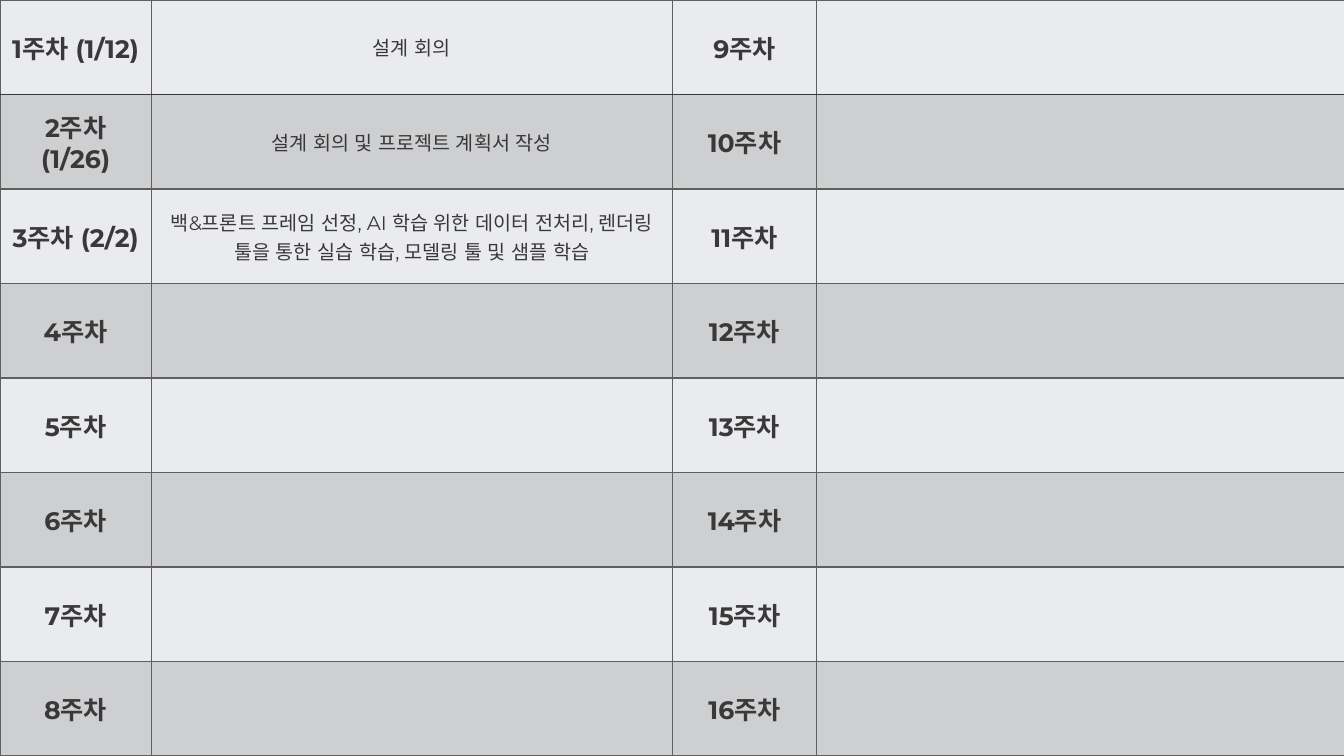
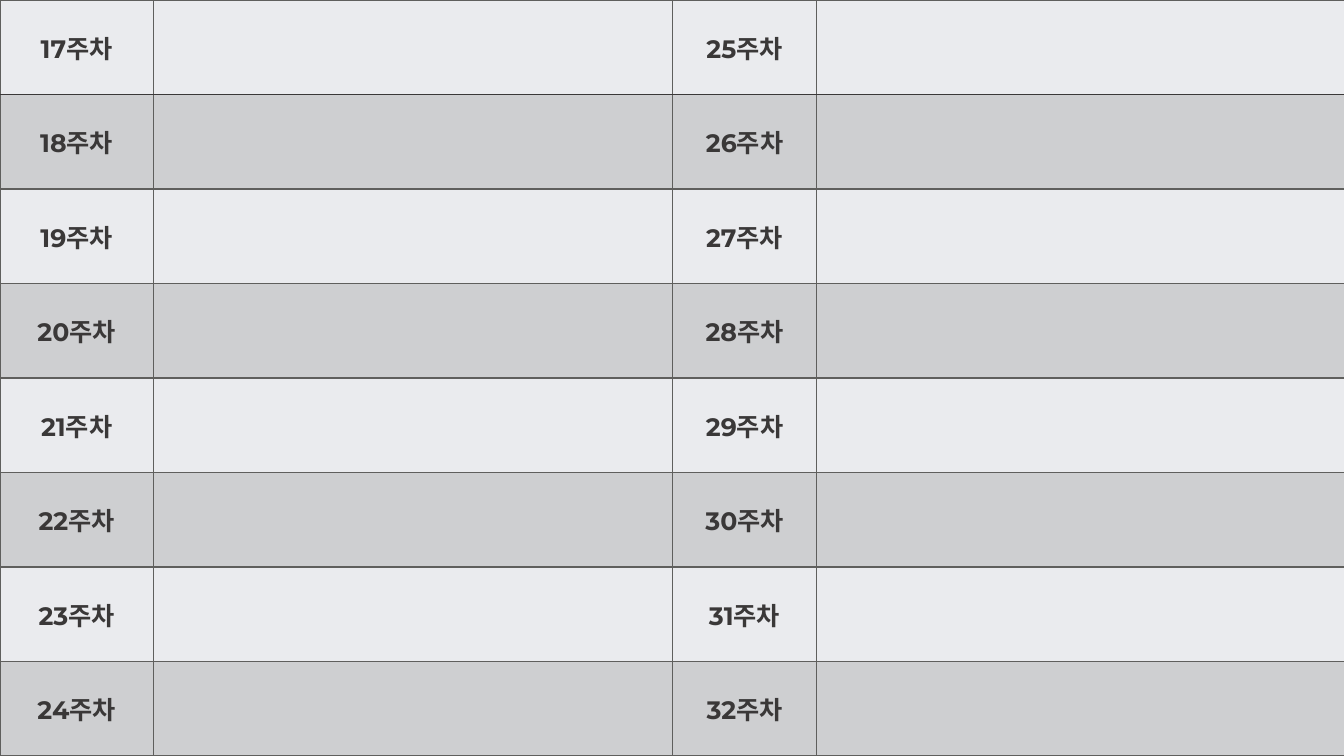
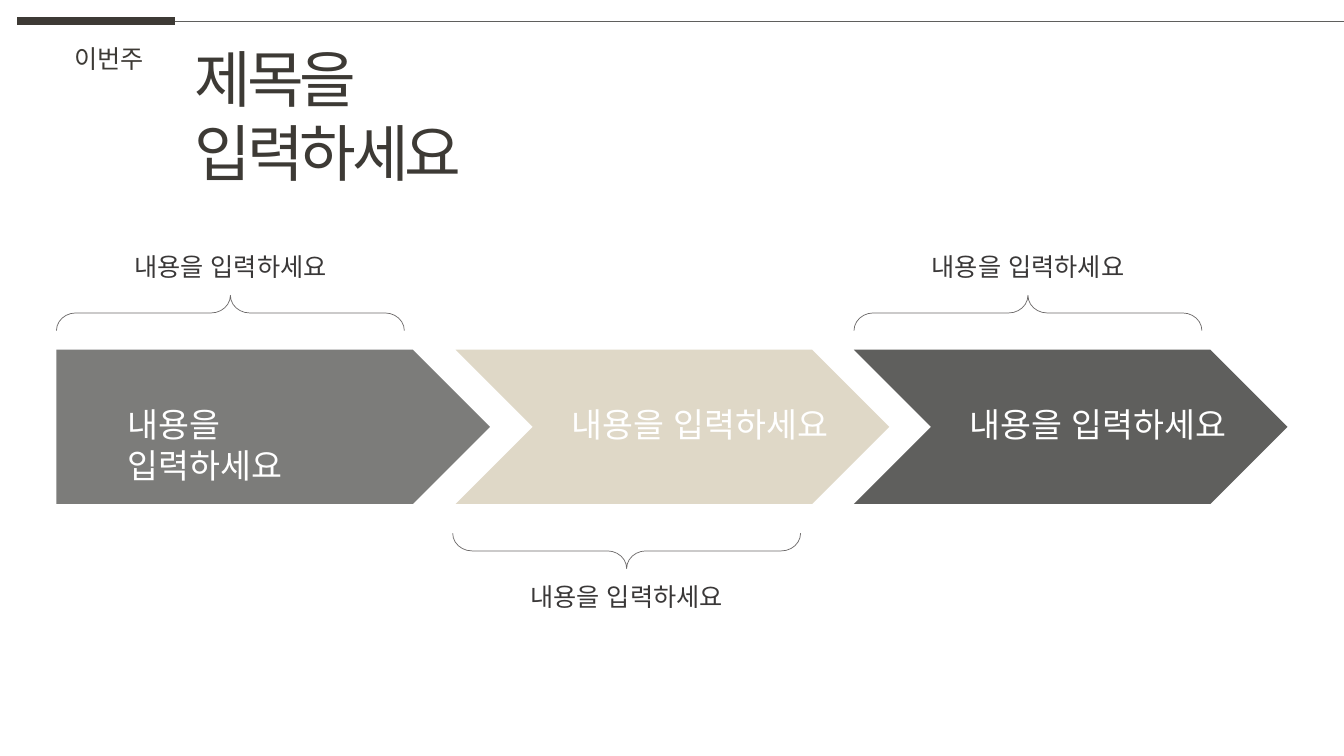
"""Build a weekly plan in two tables and a three-step process slide."""
from dataclasses import dataclass

from lxml import etree
from pptx import Presentation
from pptx import util as u
from pptx.dml import color as dml
from pptx.enum import lang, shapes, text
from pptx.oxml import ns

FONT = "Montserrat"
INK, TITLE, GREY, BRACE = "3A3838", "3D3A35", "5F5F5D", "6C6969"
WHITE, PALE = "FFFFFF", "EAEBEE"
LEFT, MID = text.PP_ALIGN.LEFT, text.PP_ALIGN.CENTER
ROWS, WIDE, HIGH = 8, 13.33, 7.5
SHAPE = shapes.MSO_SHAPE


@dataclass
class Plan:
    first: int
    cols: tuple[float, ...]
    dates: tuple[str, ...] = ()
    tasks: tuple[str, ...] = ()


@dataclass
class Step:
    left: float
    kind: SHAPE
    fill: str
    text_left: float
    text_wide: float
    wrap: bool
    brace_left: float
    above: bool


PLANS = (
    Plan(1, (1.5, 5.17, 1.43, 5.24), ("1/12", "1/26", "2/2"), (
        "설계 회의",
        "설계 회의 및 프로젝트 계획서 작성",
        "백&프론트 프레임 선정, AI 학습 위한 데이터 전처리, "
        "렌더링 툴을 통한 실습 학습, 모델링 툴 및 샘플 학습")),
    Plan(17, (1.52, 5.15, 1.43, 5.24)),
)

STEPS = (
    Step(8.47, SHAPE.CHEVRON, GREY, 9.52, 2.75, False, 10.02, True),
    Step(4.52, SHAPE.CHEVRON, "DFD8C7", 5.57, 2.75, False, 6.04, False),
    Step(0.56, SHAPE.PENTAGON, "7C7C7A", 1.17, 2.62, True, 2.11, True),
)
PROMPT = "내용을 입력하세요"


def rgb(code: str) -> dml.RGBColor:
    return dml.RGBColor.from_string(code)


def box(*nums: float) -> list[u.Length]:
    return [u.Inches(num) for num in nums]


def paint(fill, code: str) -> None:
    fill.solid()
    fill.fore_color.rgb = rgb(code)


def write(frame, words: str, *, size: float, color: str = INK, bold: bool = False,
          align=LEFT, space: int = 0) -> None:
    para = frame.paragraphs[0]
    para.alignment = align
    run = para.add_run()
    run.text = words
    font = run.font
    font.name, font.size, font.bold = FONT, u.Pt(size), bold
    font.color.rgb = rgb(color)
    font.language_id = lang.MSO_LANGUAGE_ID.KOREAN
    if space:
        run._r.get_or_add_rPr().set("spc", str(space))


def label(slide, area: list[u.Length], words: str, *, wrap: bool = False, **style) -> None:
    frame = slide.shapes.add_textbox(*area).text_frame
    frame.word_wrap = wrap
    frame.auto_size = text.MSO_AUTO_SIZE.SHAPE_TO_FIT_TEXT
    write(frame, words, **style)


def rule(slide, start: float, end: float, code: str, width: float) -> None:
    line = slide.shapes.add_connector(
        shapes.MSO_CONNECTOR.STRAIGHT, *box(start, 0.21, end, 0.21))
    line.line.color.rgb = rgb(code)
    line.line.width = u.Pt(width)
    etree.SubElement(line._element.spPr, ns.qn("a:effectLst"))


def edge(cell, side: str, code: str) -> None:
    line = etree.SubElement(cell._tc.get_or_add_tcPr(), ns.qn(f"a:{side}"), w="12700")
    solid = etree.SubElement(line, ns.qn("a:solidFill"))
    etree.SubElement(solid, ns.qn("a:srgbClr"), val=code)


def shade(cell, row: int) -> None:
    for side in ("lnL", "lnR", "lnT", "lnB"):
        dark = (row, side) in ((0, "lnB"), (1, "lnT"))
        edge(cell, side, INK if dark else GREY)
    if row % 2 == 0:
        cell.fill.background()
        return
    paint(cell.fill, GREY)
    tint = cell._tc.tcPr.find(ns.qn("a:solidFill"))[0]
    etree.SubElement(tint, ns.qn("a:alpha"), val="20000")


def add_slide(deck, layout: int, back: str):
    slide = deck.slides.add_slide(deck.slide_layouts[layout])
    paint(slide.background.fill, back)
    return slide


def draw_plan(deck, plan: Plan) -> None:
    slide = add_slide(deck, 6, PALE)
    table = slide.shapes.add_table(ROWS, len(plan.cols), *box(0, 0, WIDE, HIGH)).table
    table.first_row = table.horz_banding = False
    for col, width in zip(table.columns, plan.cols):
        col.width = u.Inches(width)
    for row in range(ROWS):
        table.rows[row].height = u.Inches(HIGH / ROWS)
        date = f" ({plan.dates[row]})" if row < len(plan.dates) else ""
        task = plan.tasks[row] if row < len(plan.tasks) else ""
        week = plan.first + row
        words = (f"{week}주차{date}", task, f"{week + ROWS}주차", "")
        for col, item in enumerate(words):
            cell = table.cell(row, col)
            cell.vertical_anchor = text.MSO_ANCHOR.MIDDLE
            shade(cell, row)
            if item:
                head = col % 2 == 0
                write(cell.text_frame, item, size=18 if head else 14, bold=head, align=MID)


def draw_arrow(slide, step: Step) -> None:
    arrow = slide.shapes.add_shape(step.kind, *box(step.left, 3.47, 4.3, 1.53))
    arrow.shadow.inherit = False
    paint(arrow.fill, step.fill)
    arrow.line.fill.background()


def draw_notes(slide, step: Step) -> None:
    top = 1.38 if step.above else 3.74
    brace = slide.shapes.add_shape(SHAPE.LEFT_BRACE, *box(step.brace_left, top, 0.35, 3.45))
    brace.rotation = 90 if step.above else 270
    brace.adjustments[0] = 0.545
    brace.shadow.inherit = False
    brace.fill.background()
    brace.line.color.rgb = rgb(BRACE)
    brace.line.width = u.Pt(0.5)
    label(slide, box(step.brace_left - 0.88, 2.44 if step.above else 5.72, 2.11, 0.4),
          PROMPT, size=18, align=MID)
    label(slide, box(step.text_left, 3.96, step.text_wide, 0.5), PROMPT,
          wrap=step.wrap, size=24, color=WHITE)


def draw_steps(deck) -> None:
    slide = add_slide(deck, 5, WHITE)
    rule(slide, 0.17, 1.74, TITLE, 6)
    title = slide.shapes.title
    title.left, title.top, title.width, title.height = box(1.83, 0.36, 4.26, 0.84)
    frame = title.text_frame
    frame.word_wrap = True
    frame.auto_size = text.MSO_AUTO_SIZE.SHAPE_TO_FIT_TEXT
    frame.vertical_anchor = text.MSO_ANCHOR.TOP
    write(frame, "제목을 입력하세요", size=44, color=TITLE, space=-300)
    label(slide, box(0.64, 0.38, 0.97, 0.4), "이번주", size=18, color=TITLE)
    rule(slide, 1.74, WIDE, GREY, 0.5)
    for step in STEPS:
        draw_arrow(slide, step)
    for step in STEPS:
        draw_notes(slide, step)


def main() -> None:
    deck = Presentation()
    deck.slide_width, deck.slide_height = box(WIDE, HIGH)
    for plan in PLANS:
        draw_plan(deck, plan)
    draw_steps(deck)
    deck.save("out.pptx")


main()
